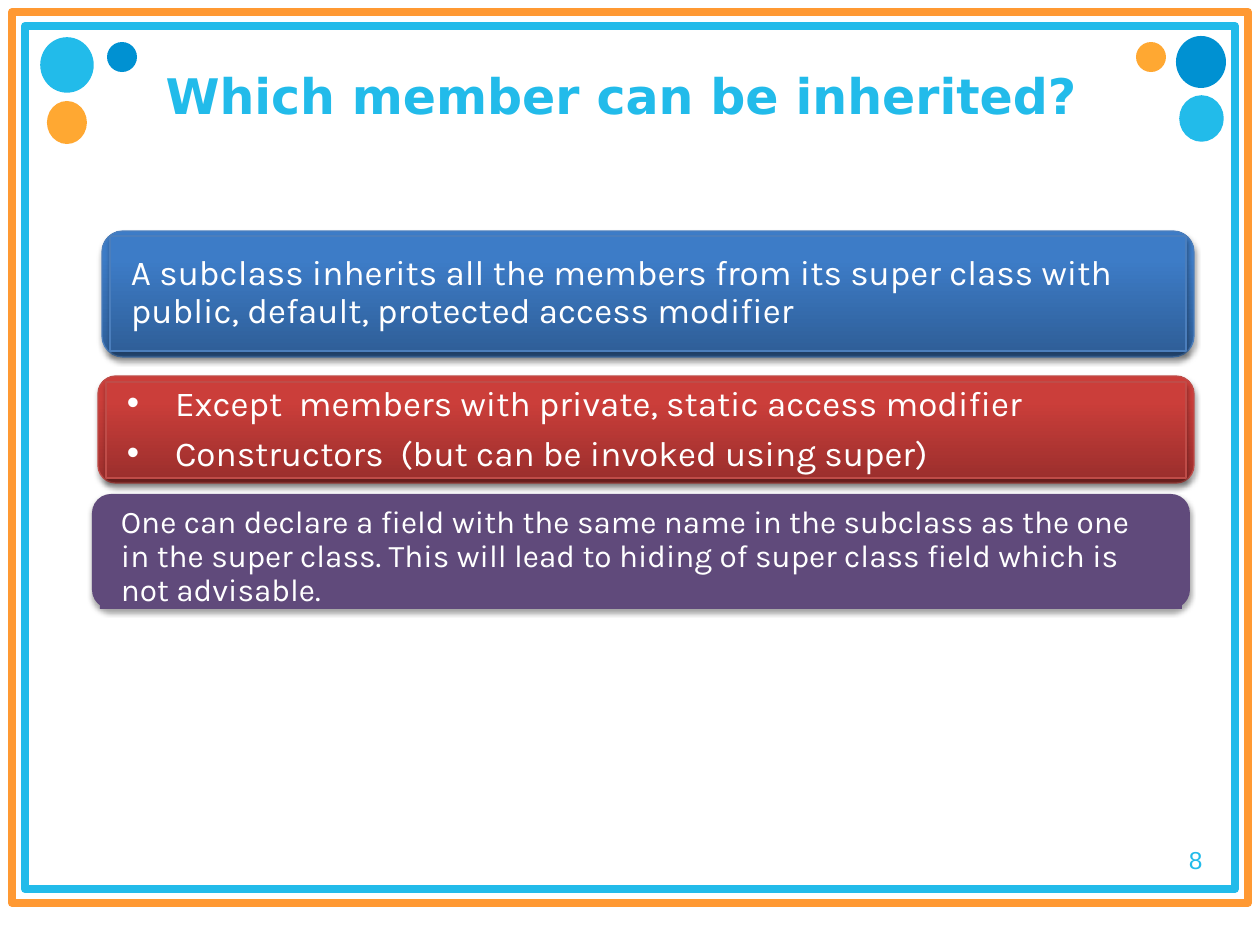
from lxml import etree
from pptx import Presentation
from pptx.dml.color import RGBColor
from pptx.enum.shapes import MSO_SHAPE
from pptx.enum.text import MSO_ANCHOR, MSO_AUTO_SIZE, PP_ALIGN
from pptx.oxml.ns import qn
from pptx.util import Emu, Pt

RECT, ROUNDED, OVAL = MSO_SHAPE.RECTANGLE, MSO_SHAPE.ROUNDED_RECTANGLE, MSO_SHAPE.OVAL
MIDDLE, NO_FIT = MSO_ANCHOR.MIDDLE, MSO_AUTO_SIZE.NONE
LEFT, CENTER, RIGHT = PP_ALIGN.LEFT, PP_ALIGN.CENTER, PP_ALIGN.RIGHT

PIXEL = 914400 / 126
SKY = RGBColor(0x22, 0xBB, 0xEA)
BLUE = RGBColor(0x00, 0x91, 0xD2)
AMBER = RGBColor(0xFF, 0x99, 0x0F)
ORANGE = RGBColor(0xFF, 0x99, 0x33)
WHITE = RGBColor(0xFF, 0xFF, 0xFF)
PURPLE = RGBColor(0x60, 0x4A, 0x7B)
# Gradient colours: bottom, top, outline
BLUE_PANEL = (RGBColor(0x2F, 0x5F, 0x99), RGBColor(0x3D, 0x7C, 0xC7), RGBColor(0x4B, 0x7E, 0xBC))
RED_PANEL = (RGBColor(0x9C, 0x2F, 0x2D), RGBColor(0xCB, 0x3E, 0x3A), RGBColor(0xBF, 0x4C, 0x48))


def px(*lengths):
    return [Emu(round(length * PIXEL)) for length in lengths]


def add_plain(parent, kind, bounds, fill=None, line=None, width=2):
    shape = parent.shapes.add_shape(kind, *px(*bounds))
    shape.shadow.inherit = False
    if fill is None:
        shape.fill.background()
    else:
        shape.fill.solid()
        shape.fill.fore_color.rgb = fill
    if line is None:
        shape.line.fill.background()
    else:
        shape.line.color.rgb = line
        shape.line.width = Pt(width)
    return shape


def add_dot(page, bounds, color):
    dot = add_plain(page, OVAL, bounds, color, SKY if color == SKY else None)
    if color == AMBER:
        set_alpha(dot.fill._xPr.find(qn("a:solidFill"))[0], 85)


def set_alpha(color, percent):
    etree.SubElement(color, qn("a:alpha"), val=str(percent * 1000))


def add_shadow(shape):
    effects = shape._element.spPr.find(qn("a:effectLst"))
    shadow = etree.SubElement(effects, qn("a:outerShdw"), blurRad=str(Pt(3.1)),
                              dist=str(Pt(1.8)), dir="5400000", rotWithShape="0")
    set_alpha(etree.SubElement(shadow, qn("a:srgbClr"), val="000000"), 35)


def paint_gradient(shape, colors):
    bottom, top, outline = colors
    shape.fill.gradient()
    shape.fill.gradient_angle = 90
    for stop, color, position in zip(shape.fill.gradient_stops, (bottom, top), (0, 0.8)):
        stop.color.rgb = color
        stop.position = position
    shape.line.color.rgb = outline
    shape.line.width = Pt(0.75)


def format_text(para, font, size, color, align, bold=False):
    para.alignment = align
    for span in para.runs:
        span.font.name = font
        span.font.size = Pt(size)
        span.font.bold = bold
        span.font.color.rgb = color


def add_bullet(para):
    props = para._p.get_or_add_pPr()
    indent = px(48)[0]
    props.set("marL", str(indent))
    props.set("indent", str(-indent))
    etree.SubElement(props, qn("a:buFont"), typeface="Arial")
    etree.SubElement(props, qn("a:buChar"), char="•")


def add_panel(page, outer, inner, colors, lines, size, bullets=False):
    group = page.shapes.add_group_shape()
    flat = isinstance(colors, RGBColor)
    for kind, bounds in ((ROUNDED, outer), (RECT, inner)):
        box = add_plain(group, kind, bounds, colors if flat else None)
        if not flat:
            paint_gradient(box, colors)
        if kind == ROUNDED or not flat:
            add_shadow(box)
    # Wording sits in the inner rectangle
    frame = box.text_frame
    frame.word_wrap = True
    frame.vertical_anchor = MIDDLE
    frame.margin_left, frame.margin_top, frame.margin_right, frame.margin_bottom = px(21, 21, 21, 21)
    frame.text = "\n".join(lines)
    for para in frame.paragraphs:
        format_text(para, "Karla", size, WHITE, LEFT)
        para.line_spacing = 0.9
        para.space_after = Pt(size * 0.35)
        if bullets:
            add_bullet(para)


def add_title(page, text):
    title = page.shapes.title
    title.left, title.top, title.width, title.height = px(63, 30, 1133, 130)
    frame = title.text_frame
    frame.text = text
    frame.auto_size = NO_FIT
    frame.vertical_anchor = MIDDLE
    format_text(frame.paragraphs[0], "DejaVu Sans", 28, SKY, CENTER, True)


def add_page_number(page, number):
    box = page.shapes.add_textbox(*px(1086, 839, 129, 43))
    box.text_frame.word_wrap = True
    box.text_frame.text = number
    format_text(box.text_frame.paragraphs[0], "Arial", 14, SKY, RIGHT)


def main():
    deck = Presentation()
    deck.slide_width, deck.slide_height = px(1260, 945)
    page = deck.slides.add_slide(deck.slide_layouts[5])

    # Frames and page number
    add_plain(page, RECT, (25, 26, 1210, 863), WHITE, SKY, 4.5)
    add_plain(page, RECT, (12, 12, 1236, 891), None, ORANGE, 4.5)
    add_page_number(page, "8")

    # Corner dots
    for bounds, color in (
        ((42, 39, 50, 52), SKY), ((107, 42, 30, 30), BLUE), ((47, 101, 40, 43), AMBER),
        ((1176, 36, 50, 52), BLUE), ((1181, 97, 41, 43), SKY), ((1136, 42, 30, 30), AMBER),
    ):
        add_dot(page, bounds, color)

    # Title, kept above the frames
    page.shapes._spTree.append(page.shapes.title._element)
    add_title(page, "Which member can be inherited? ")

    # Rule panels
    add_panel(page, (102, 231, 1092, 126), (110, 236, 1076, 115), BLUE_PANEL,
              ["A subclass inherits all the members from its super class with "
               "public, default, protected access modifier"], 20)
    add_panel(page, (98, 376, 1096, 107), (106, 382, 1080, 96), RED_PANEL,
              ["Except  members with private, static access modifier",
               "Constructors  (but can be invoked using super)"], 20, bullets=True)
    add_panel(page, (92, 494, 1098, 115), (100, 505, 1082, 104), PURPLE,
              ["One can declare a field with the same name in the subclass as the one "
               "in the super class. This will lead to hiding of super class field "
               "which is not advisable."], 18)

    deck.save("out.pptx")


main()
